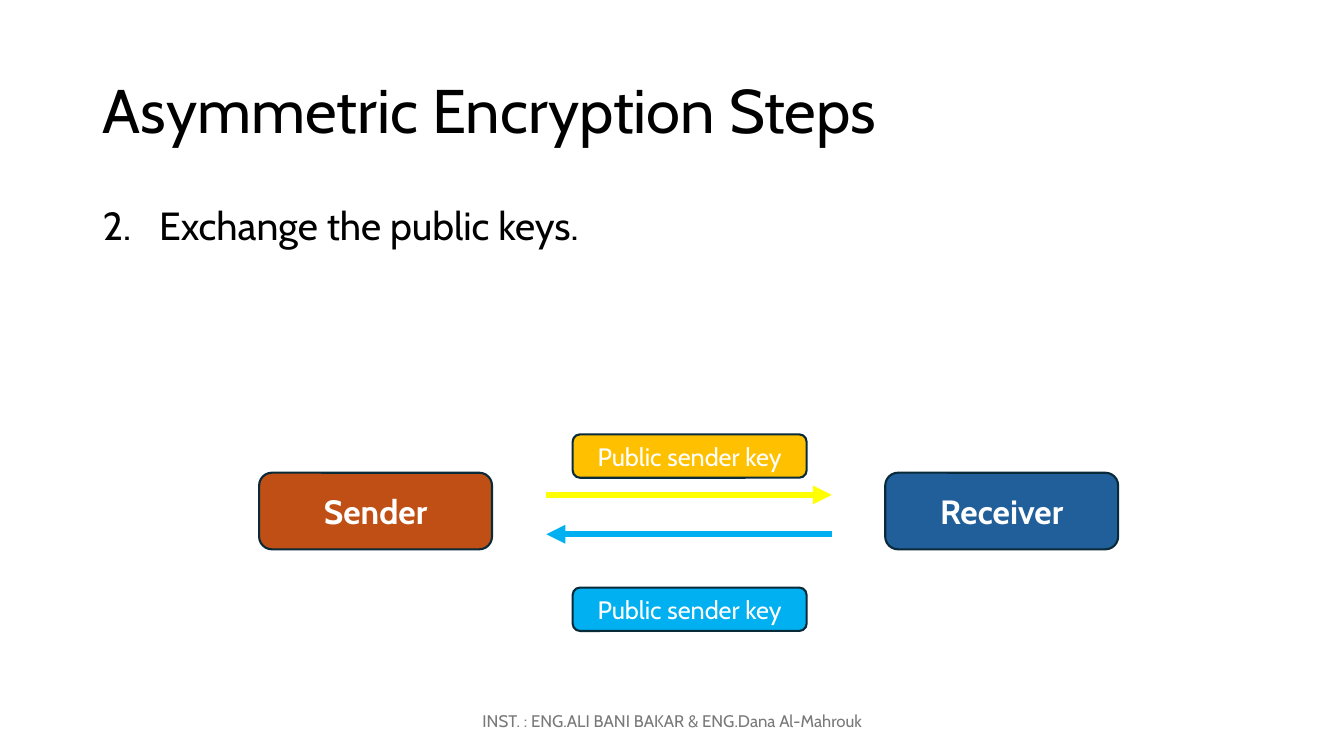
import lxml.etree
import pptx
import pptx.dml.color
import pptx.enum.shapes
import pptx.enum.text
import pptx.oxml.ns
import pptx.util

EMU_PER_PX = 9144
COLOURS = {
    "black": "000000",
    "white": "FFFFFF",
    "grey": "797979",
    "outline": "092A39",
    "sender": "C04F15",
    "receiver": "215F9A",
    "amber": "FFC000",
    "yellow": "FFFF00",
    "blue": "00B0F0",
}


def px(length):
    return pptx.util.Emu(length * EMU_PER_PX)


def colour(name):
    return pptx.dml.color.RGBColor.from_string(COLOURS[name])


def add_xml(parent, tag, **attributes):
    return lxml.etree.SubElement(parent, pptx.oxml.ns.qn(tag), **attributes)


def write(shape, text, font="Cabin", size=18, ink="black", bold=False,
          centred=False, middle=True, spacing=None, number=None, indent=0):
    frame = shape.text_frame
    frame.word_wrap = True
    anchors = pptx.enum.text.MSO_ANCHOR
    frame.vertical_anchor = anchors.MIDDLE if middle else anchors.TOP
    paragraph = frame.paragraphs[0]
    alignments = pptx.enum.text.PP_ALIGN
    paragraph.alignment = alignments.CENTER if centred else alignments.LEFT
    if spacing:
        paragraph.line_spacing = spacing
    if number:
        properties = paragraph._p.get_or_add_pPr()
        properties.set("marL", str(px(indent)))
        properties.set("indent", str(-px(indent)))
        add_xml(properties, "a:buFont", typeface="+mj-lt")
        add_xml(properties, "a:buAutoNum", type="arabicPeriod", startAt=str(number))
    run = paragraph.add_run()
    run.text = text
    run.font.name = font
    run.font.size = pptx.util.Pt(size)
    run.font.bold = bold
    run.font.color.rgb = colour(ink)


class Diagram:
    """Draw text, boxes and arrows on one slide in a shared style."""

    def __init__(self, slide, outline="outline", outline_width=1.5, arrow_width=4.5):
        self.slide = slide
        self.outline = outline
        self.outline_width = outline_width
        self.arrow_width = arrow_width

    def text(self, left, top, width, height, text, **style):
        shape = self.slide.shapes.add_textbox(px(left), px(top), px(width), px(height))
        write(shape, text, **style)

    def box(self, left, top, width, height, text, fill, **style):
        shape = self.slide.shapes.add_shape(
            pptx.enum.shapes.MSO_SHAPE.ROUNDED_RECTANGLE,
            px(left), px(top), px(width), px(height))
        shape.shadow.inherit = False
        shape.fill.solid()
        shape.fill.fore_color.rgb = colour(fill)
        shape.line.color.rgb = colour(self.outline)
        shape.line.width = pptx.util.Pt(self.outline_width)
        write(shape, text, ink="white", centred=True, **style)

    def arrow(self, start, end, y, ink):
        connector = self.slide.shapes.add_connector(
            pptx.enum.shapes.MSO_CONNECTOR.STRAIGHT, px(start), px(y), px(end), px(y))
        connector.line.color.rgb = colour(ink)
        connector.line.width = pptx.util.Pt(self.arrow_width)
        add_xml(connector.line._get_or_add_ln(), "a:tailEnd", type="triangle")
        add_xml(connector._element.spPr, "a:effectLst")


def main():
    presentation = pptx.Presentation()
    presentation.slide_width = px(1333)
    presentation.slide_height = px(750)
    slide = presentation.slides.add_slide(presentation.slide_layouts[6])
    diagram = Diagram(slide)

    diagram.text(92, 40, 1150, 145, "Asymmetric Encryption Steps", size=44, spacing=0.9)
    diagram.text(92, 200, 1150, 476, "Exchange the public keys.", size=28,
                 middle=False, spacing=0.9, number=2, indent=56)

    for left, party, fill in ((257, "Sender", "sender"), (878, "Receiver", "receiver")):
        diagram.box(left, 469, 231, 76, party, fill, size=24, bold=True)

    diagram.arrow(825, 542, 530, "blue")
    diagram.arrow(542, 825, 491, "yellow")

    for top, fill in ((431, "amber"), (583, "blue")):
        diagram.box(568, top, 232, 43, "Public sender key", fill)

    diagram.text(442, 695, 450, 40, "INST. : ENG.ALI BANI BAKAR & ENG.Dana Al-Mahrouk",
                 size=12, ink="grey", centred=True)
    presentation.save("out.pptx")


if __name__ == "__main__":
    main()
